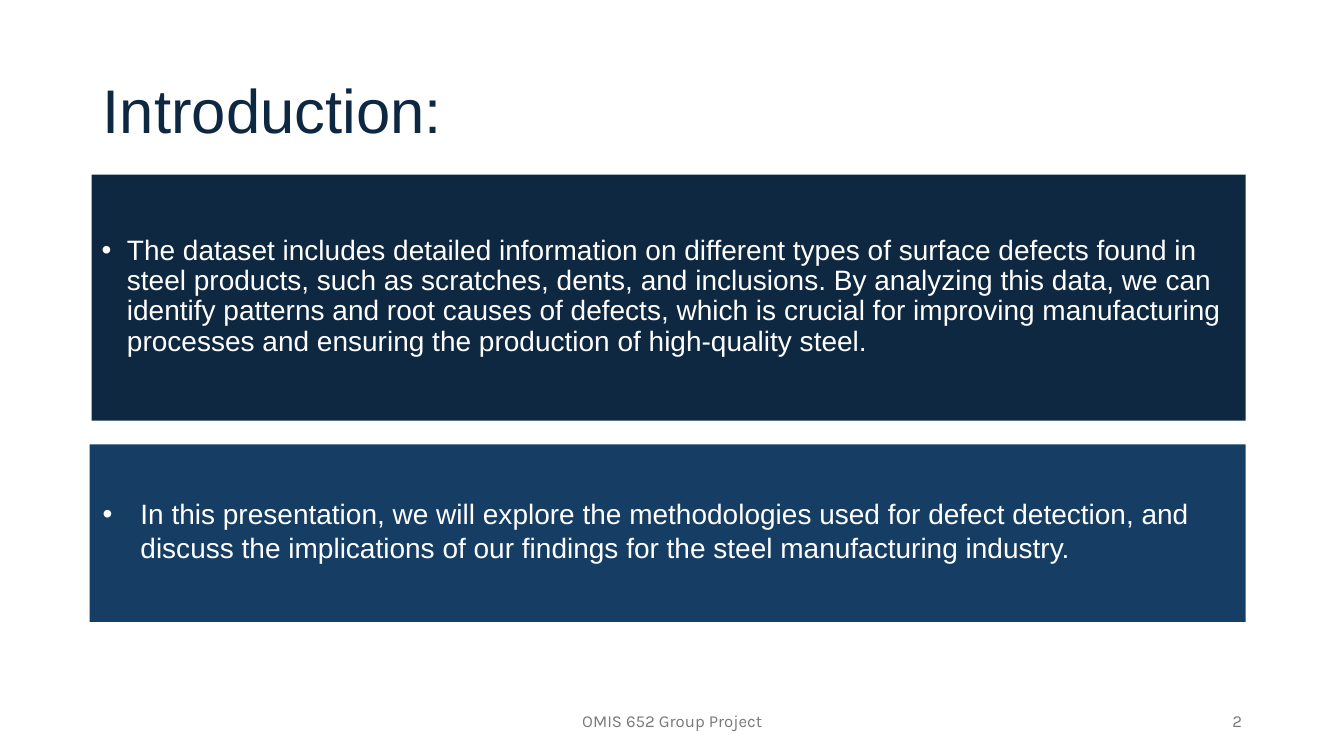
import pptx
import pptx.util
import pptx.dml.color
import pptx.enum.shapes
import pptx.enum.text
import pptx.oxml.ns
from lxml import etree
from pptx.util import Cm

ALIGN = pptx.enum.text.PP_ALIGN
ANCHOR = pptx.enum.text.MSO_ANCHOR

NAVY = "0E2841"
BLUE = "163E64"
WHITE = "FFFFFF"
GRAY = "797979"


def color(code):
    return pptx.dml.color.RGBColor.from_string(code)


def write(shape, text, size=20, font="Arial", ink=WHITE, align=ALIGN.LEFT,
          anchor=ANCHOR.TOP, space=1.0, top=0.13, indent=0):
    """Fill a shape with one paragraph; an indent (cm) adds a hanging bullet."""
    frame = shape.text_frame
    frame.word_wrap = True
    frame.auto_size = pptx.enum.text.MSO_AUTO_SIZE.NONE
    frame.vertical_anchor = anchor
    frame.margin_top = Cm(top)
    para = frame.paragraphs[0]
    para.alignment = align
    para.line_spacing = space
    run = para.add_run()
    run.text = text
    run.font.size = pptx.util.Pt(size)
    run.font.name = font
    run.font.color.rgb = color(ink)
    if indent:
        props = para._p.get_or_add_pPr()
        props.set("marL", str(Cm(indent)))
        props.set("indent", str(-Cm(indent)))
        qn = pptx.oxml.ns.qn
        etree.SubElement(props, qn("a:buFont"), typeface="Arial")
        etree.SubElement(props, qn("a:buChar"), char="•")


class Deck:
    def __init__(self):
        self.file = pptx.Presentation()
        self.file.slide_width = Cm(33.87)
        self.file.slide_height = Cm(19.05)
        self.slide = self.file.slides.add_slide(self.file.slide_layouts[5])

    def title(self, text, box):
        shape = self.slide.shapes.title
        shape.left, shape.top, shape.width, shape.height = map(Cm, box)
        write(shape, text, size=44, ink=NAVY, anchor=ANCHOR.MIDDLE, space=0.9)

    def panel(self, box, fill):
        kind = pptx.enum.shapes.MSO_SHAPE.RECTANGLE
        shape = self.slide.shapes.add_shape(kind, *map(Cm, box))
        shape.shadow.inherit = False
        shape.fill.solid()
        shape.fill.fore_color.rgb = color(fill)
        shape.line.fill.background()
        return shape

    def text(self, text, box, **style):
        write(self.slide.shapes.add_textbox(*map(Cm, box)), text, **style)

    def footer(self, text, left, width, align):
        self.text(text, (left, 17.65, width, 1.02), size=12, font="Karla",
                  ink=GRAY, align=align, anchor=ANCHOR.MIDDLE)


def main():
    deck = Deck()
    deck.title("Introduction:", (2.34, 1.02, 29.21, 3.68))
    data = deck.panel((2.31, 4.4, 29.08, 6.2), NAVY)
    write(data, "The dataset includes detailed information on different types "
          "of surface defects found in steel products, such as scratches, "
          "dents, and inclusions. By analyzing this data, we can identify "
          "patterns and root causes of defects, which is crucial for improving "
          "manufacturing processes and ensuring the production of "
          "high-quality steel.", space=0.9, top=1.55, indent=0.64)
    deck.footer("OMIS 652 Group Project", 11.23, 11.43, ALIGN.CENTER)
    deck.footer("2", 23.93, 7.62, ALIGN.RIGHT)
    deck.panel((2.26, 11.2, 29.13, 4.47), BLUE)
    deck.text("In this presentation, we will explore the methodologies used "
              "for defect detection, and discuss the implications of our "
              "findings for the steel manufacturing industry.",
              (2.34, 11.48, 29.06, 2.82), top=1.04, indent=0.95)
    deck.file.save("out.pptx")


if __name__ == "__main__":
    main()
